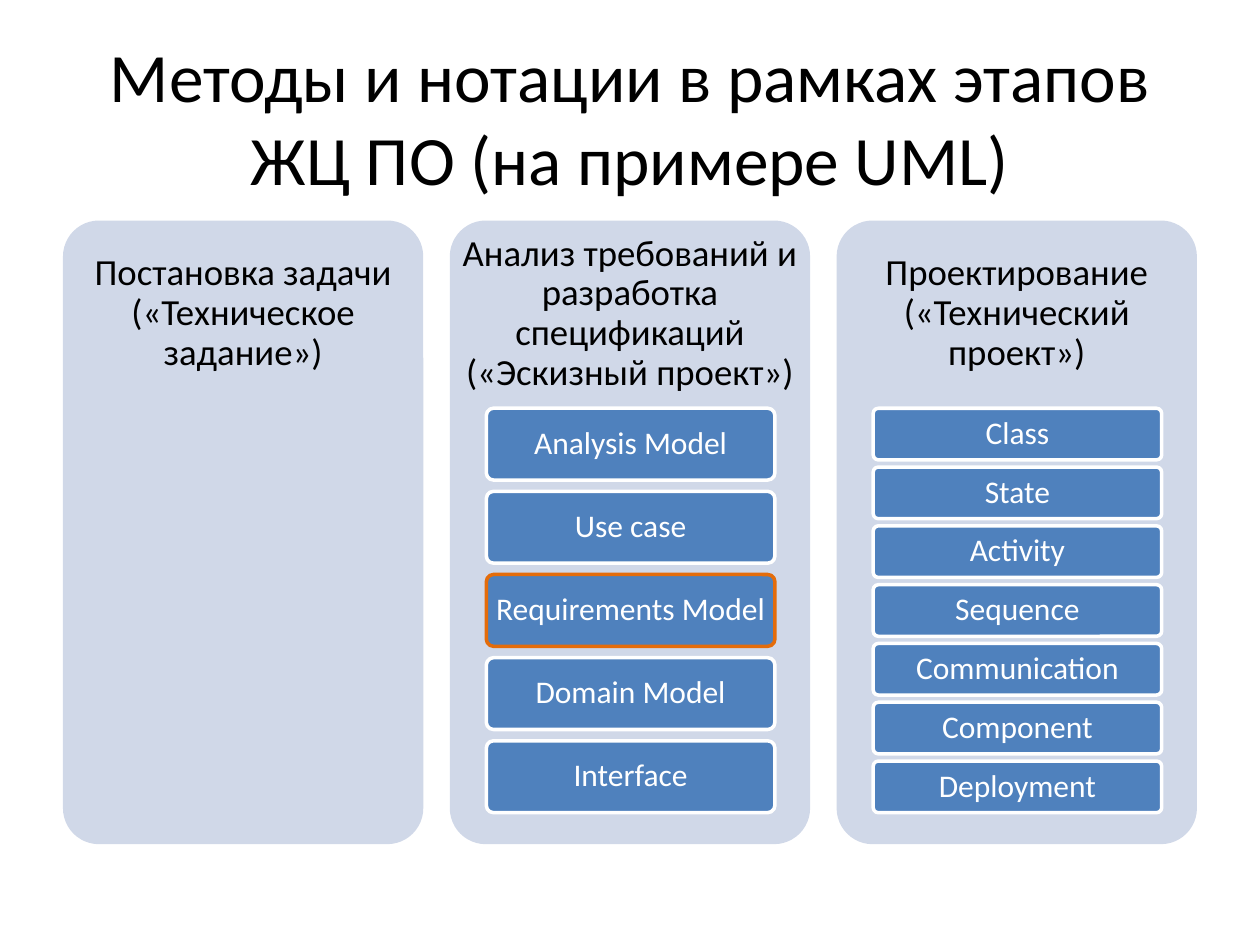
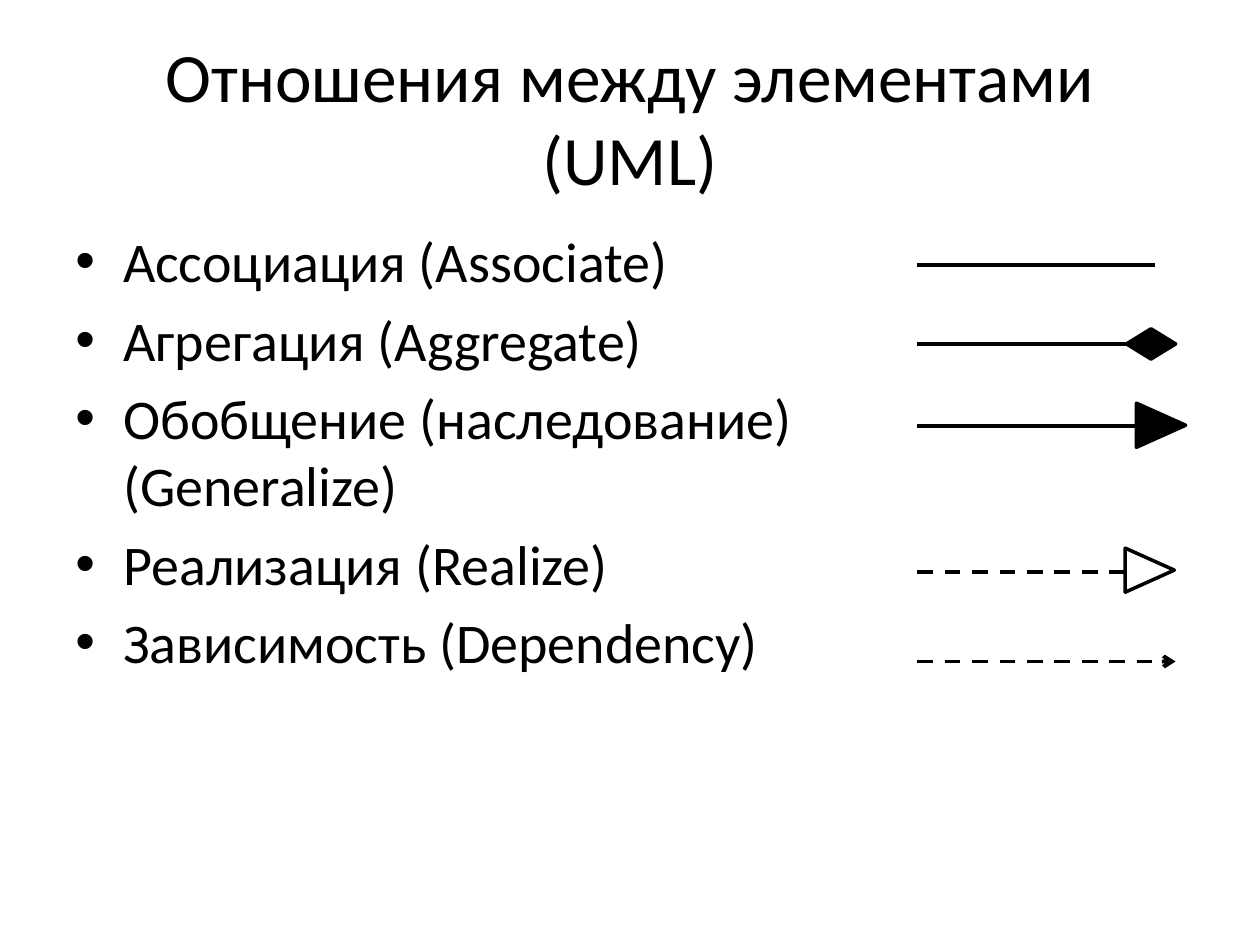
from lxml import etree
from pptx import Presentation, util as u
from pptx.dml.color import RGBColor
from pptx.enum import dml, shapes, text
from pptx.oxml.ns import qn

FONT = "Calibri"
BLACK, WHITE = "000000", "FFFFFF"
PANEL, CHIP, ACCENT = "D0D8E8", "4F81BD", "E46C0A"
SHAPE = shapes.MSO_SHAPE


def rgb(value):
    """Turn a hex string into a colour."""
    return RGBColor.from_string(value)


def inches(*values):
    """Turn numbers into lengths."""
    return [u.Inches(v) for v in values]


class Deck:
    """Holds the style and the current slide."""

    def __init__(self):
        """Start an empty 4:3 presentation."""
        self.prs = Presentation()
        self.prs.slide_width, self.prs.slide_height = inches(10, 7.5)
        self.s = None

    def slide(self, title):
        """Add a slide with a centred title."""
        self.s = self.prs.slides.add_slide(self.prs.slide_layouts[5])
        sp = self.s.shapes.title
        sp.left, sp.top, sp.width, sp.height = inches(0.5, 0.3, 9, 1.25)
        self.set_text(sp.text_frame, [title], 39.6, BLACK)

    def set_text(self, tf, lines, size, color, insets=(0.1, 0.05), spacing=None,
                 align=text.PP_ALIGN.CENTER, anchor=text.MSO_ANCHOR.MIDDLE):
        """Fill a text frame, one paragraph for each line."""
        tf.text = "\n".join(lines)
        tf.word_wrap = True
        tf.auto_size = text.MSO_AUTO_SIZE.NONE
        tf.vertical_anchor = anchor
        tf.margin_left = tf.margin_right = u.Inches(insets[0])
        tf.margin_top = tf.margin_bottom = u.Inches(insets[1])
        for p in tf.paragraphs:
            p.alignment = align
            p.line_spacing = spacing
            for r in p.runs:
                r.font.name, r.font.size = FONT, u.Pt(size)
                r.font.color.rgb = rgb(color)

    def shape(self, kind, box, fill, line=None, rotation=0):
        """Add a flat preset shape."""
        sp = self.s.shapes.add_shape(kind, *inches(*box))
        sp.shadow.inherit = False
        sp.fill.solid()
        sp.fill.fore_color.rgb = rgb(fill)
        sp.rotation = rotation
        if line:
            sp.line.color.rgb = rgb(line)
            sp.line.width = u.Pt(2)
        else:
            sp.line.fill.background()
        return sp

    def rounded(self, box, fill, line=None):
        """Add a rectangle with slightly rounded corners."""
        sp = self.shape(SHAPE.ROUNDED_RECTANGLE, box, fill, line)
        sp.adjustments[0] = 0.1
        return sp

    def chip(self, box, label, line):
        """Add a labelled rounded box."""
        sp = self.rounded(box, CHIP, line)
        self.set_text(sp.text_frame, [label], 18, WHITE, (0.06, 0.05), 0.9)

    def heading(self, box, label):
        """Add the heading of a panel."""
        sp = self.s.shapes.add_textbox(*inches(*box))
        self.set_text(sp.text_frame, [label], 21, BLACK, (0.09, 0.09), 0.9)

    def bullets(self, box, lines):
        """Add a bulleted list."""
        tf = self.s.shapes.add_textbox(*inches(*box)).text_frame
        self.set_text(tf, lines, 32, BLACK, align=text.PP_ALIGN.LEFT,
                      anchor=text.MSO_ANCHOR.TOP)
        indent = u.Inches(0.38)
        for p in tf.paragraphs:
            p.space_before = u.Pt(6.4)
            pr = p._p.get_or_add_pPr()
            pr.set("marL", str(indent))
            pr.set("indent", str(-indent))
            etree.SubElement(pr, qn("a:buFont")).set("typeface", "Arial")
            etree.SubElement(pr, qn("a:buChar")).set("char", "•")

    def line(self, x1, x2, y, dashed=False, arrow=False):
        """Add a horizontal line, dashed or with an open arrowhead."""
        cx = self.s.shapes.add_connector(
            shapes.MSO_CONNECTOR.STRAIGHT, *inches(x1, y, x2, y))
        cx.line.color.rgb = rgb(BLACK)
        cx.line.width = u.Pt(2.25)
        if dashed:
            cx.line.dash_style = dml.MSO_LINE.DASH
        if arrow:
            ln = cx.line._get_or_add_ln()
            etree.SubElement(ln, qn("a:tailEnd")).set("type", "arrow")
        etree.SubElement(cx._element.spPr, qn("a:effectLst"))


def stages_slide(deck):
    """Show the notations used at each stage."""
    deck.slide("Методы и нотации в рамках этапов ЖЦ ПО (на примере UML)")
    stages = [
        ("Постановка задачи («Техническое задание»)", [], 0, 0),
        ("Анализ требований и разработка спецификаций («Эскизный проект»)",
         ["Analysis Model", "Use case", "Requirements Model", "Domain Model",
          "Interface"], 0.57, 0.66),
        ("Проектирование («Технический проект»)",
         ["Class", "State", "Activity", "Sequence", "Communication",
          "Component", "Deployment"], 0.41, 2.8 / 6),
    ]
    top, width = 1.75, 2.86
    for i, (name, notations, height, pitch) in enumerate(stages):
        left = 0.5 + 3.07 * i
        deck.rounded((left, top, width, 4.95), PANEL)
        deck.heading((left, top, width, 1.48), name)
        for j, notation in enumerate(notations):
            outline = ACCENT if notation == "Requirements Model" else WHITE
            deck.chip((left + 0.29, 3.24 + pitch * j, 2.29, height),
                      notation, outline)


def relations_slide(deck):
    """Show the relations and the line that stands for each."""
    deck.slide("Отношения между элементами (UML)")
    deck.bullets((0.5, 1.75, 6.47, 4.95), [
        "Ассоциация (Associate)",
        "Агрегация (Aggregate)",
        "Обобщение (наследование) (Generalize)",
        "Реализация (Realize)",
        "Зависимость (Dependency)",
    ])
    start, end = 7.28, 9.17
    for y in (2.1, 2.73, 3.38):
        deck.line(start, end, y)
    deck.line(start, end, 4.54, dashed=True)
    deck.line(start, 9.33, 5.25, dashed=True, arrow=True)
    deck.shape(SHAPE.FLOWCHART_DECISION, (8.94, 2.61, 0.39, 0.24), BLACK, BLACK)
    for x, y, fill in ((9.04, 3.18, BLACK), (8.95, 4.33, WHITE)):
        deck.shape(SHAPE.ISOSCELES_TRIANGLE, (x, y, 0.35, 0.39), fill, BLACK, 90)


def main():
    """Build and save the slides."""
    deck = Deck()
    stages_slide(deck)
    relations_slide(deck)
    deck.prs.save("out.pptx")


if __name__ == "__main__":
    main()
